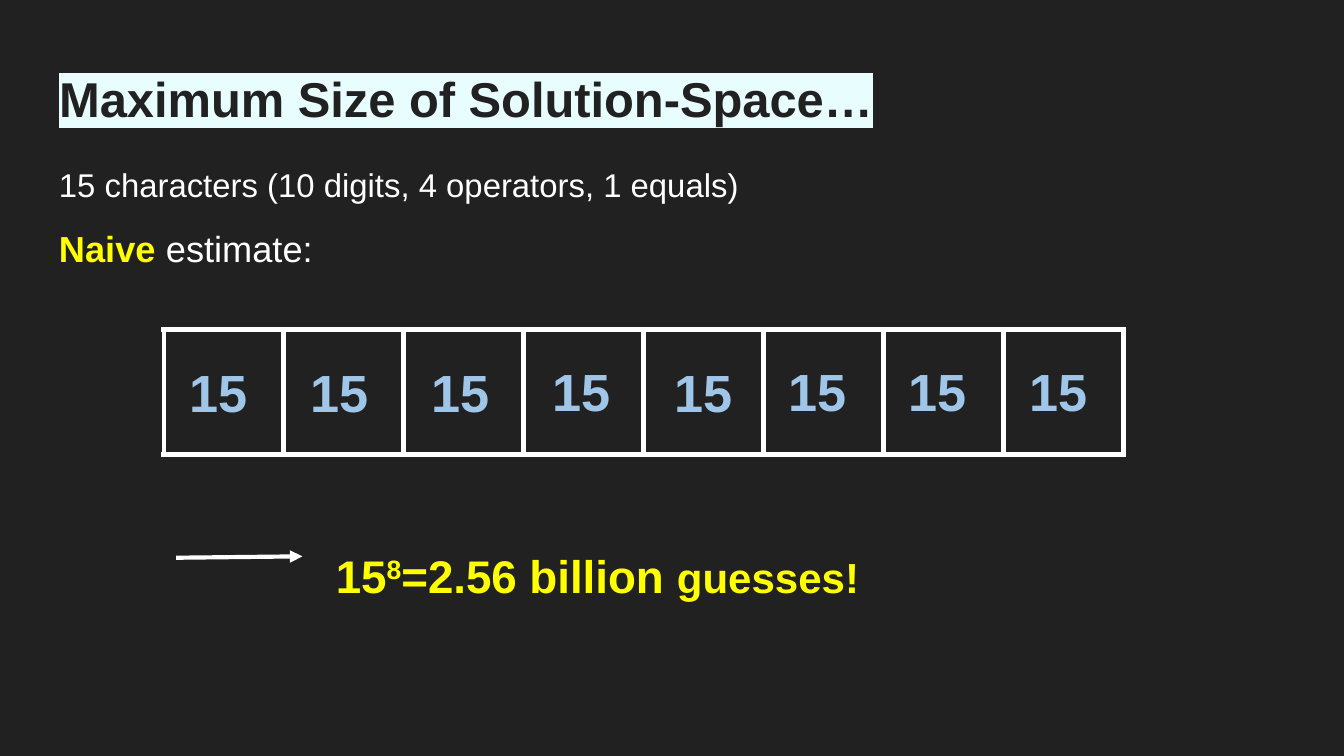
from lxml import etree
from pptx import Presentation, util as u
from pptx.dml.color import RGBColor
from pptx.enum import shapes, text
from pptx.oxml import ns, parse_xml

FONT = "Arial"
DARK, WHITE, YELLOW, BLUE, PALE = "212121", "FFFFFF", "FFFF00", "9FC5E8", "E8FDFE"
# Left and top of each label, relative to the grid
LABEL_OFFSETS = [(0.09, 0.13), (0.99, 0.13), (1.89, 0.13), (2.79, 0.12),
                 (3.7, 0.13), (4.55, 0.12), (5.44, 0.12), (6.34, 0.12)]


def color(hex_value):
    return RGBColor.from_string(hex_value)


def inches(box):
    return [u.Inches(value) for value in box]


def add_run(paragraph, words, size, hex_value, bold=False, superscript=False):
    run = paragraph.add_run()
    run.text = words
    for name, value in {"name": FONT, "size": u.Pt(size), "bold": bold}.items():
        setattr(run.font, name, value)
    run.font.color.rgb = color(hex_value)
    if superscript:
        run.font._element.set("baseline", "30000")
    return run


def prepare_frame(shape):
    frame = shape.text_frame
    settings = {"word_wrap": True, "auto_size": text.MSO_AUTO_SIZE.NONE,
                "vertical_anchor": text.MSO_ANCHOR.TOP}
    for side in ("left", "top", "right", "bottom"):
        settings[f"margin_{side}"] = u.Inches(0.1)
    for name, value in settings.items():
        setattr(frame, name, value)
    return frame


def add_text(slide, box, paragraphs):
    """Each paragraph is a pair: its format values and its list of runs."""
    frame = prepare_frame(slide.shapes.add_textbox(*inches(box)))
    for index, (formats, runs) in enumerate(paragraphs):
        paragraph = frame.add_paragraph() if index else frame.paragraphs[0]
        for name, value in formats.items():
            setattr(paragraph, name, value)
        for run in runs:
            add_run(paragraph, *run)


def place_title(slide, box, words):
    title = slide.shapes.title
    title.left, title.top, title.width, title.height = inches(box)
    paragraph = prepare_frame(title).paragraphs[0]
    paragraph.alignment = text.PP_ALIGN.LEFT
    properties = add_run(paragraph, words, 26.2, DARK, True).font._element
    highlight = parse_xml(f'<a:highlight {ns.nsdecls("a")}>'
                          f'<a:srgbClr val="{PALE}"/></a:highlight>')
    properties.find(ns.qn("a:solidFill")).addnext(highlight)


def add_borders(cell, hex_value, points):
    properties = cell._tc.get_or_add_tcPr()
    for index, edge in enumerate(("lnL", "lnR", "lnT", "lnB")):
        properties.insert(index, parse_xml(
            f'<a:{edge} {ns.nsdecls("a")} w="{u.Pt(points)}"><a:solidFill>'
            f'<a:srgbClr val="{hex_value}"/></a:solidFill></a:{edge}>'))


def add_slots(slide, box, words):
    """A one-row grid with a label over each of its cells."""
    left, top, width, height = box
    count = len(LABEL_OFFSETS)
    grid = slide.shapes.add_table(1, count, *inches(box)).table
    grid.first_row = grid.horz_banding = False
    for index, (across, down) in enumerate(LABEL_OFFSETS):
        grid.columns[index].width = u.Inches(width / count)
        slot = grid.cell(0, index)
        slot.fill.background()
        add_borders(slot, WHITE, 3)
        add_text(slide, (left + across, top + down, 0.68, 0.67),
                 [({}, [(words, 28, BLUE, True)])])


def add_result(slide, box):
    left, top, width, height = box
    arrow = slide.shapes.add_connector(
        shapes.MSO_CONNECTOR.STRAIGHT,
        *inches((left, top + 0.38, left + 0.94, top + 0.37)))
    arrow.line.color.rgb = color(WHITE)
    arrow.line.width = u.Pt(2.25)
    etree.SubElement(arrow.line._get_or_add_ln(), ns.qn("a:tailEnd"), type="triangle")
    etree.SubElement(arrow._element.spPr, ns.qn("a:effectLst"))
    add_text(slide, (left + 1.09, top, width - 1.09, height), [
        ({"line_spacing": 1.5, "space_after": u.Pt(5)},
         [("15", 24.5, YELLOW, True),
          ("8", 24.5, YELLOW, True, True),
          ("=2.56 billion ", 24.5, YELLOW, True),
          ("guesses!", 22.5, YELLOW, True)])])


def add_estimate(slide, box):
    add_text(slide, box, [
        ({"line_spacing": 1.3},
         [("15 characters (10 digits, 4 operators, 1 equals)", 17.6, WHITE)]),
        ({"line_spacing": 1.3, "space_before": u.Pt(5), "space_after": u.Pt(5)},
         [("Naive ", 19.4, YELLOW, True), ("estimate:", 19.4, WHITE)])])


def main():
    deck = Presentation()
    deck.slide_width, deck.slide_height = inches((10, 10 * 9 / 16))
    slide = deck.slides.add_slide(deck.slide_layouts.get_by_name("Title Only"))
    slide.background.fill.solid()
    slide.background.fill.fore_color.rgb = color(DARK)
    place_title(slide, (0.34, 0.41, 9.32, 0.63), "Maximum Size of Solution-Space…")
    add_estimate(slide, (0.34, 1.04, 9.32, 1.19))
    add_slots(slide, (1.22, 2.45, 7.14, 0.93), "15")
    add_result(slide, (1.31, 3.77, 7.47, 0.61))
    deck.save("out.pptx")


if __name__ == "__main__":
    main()
